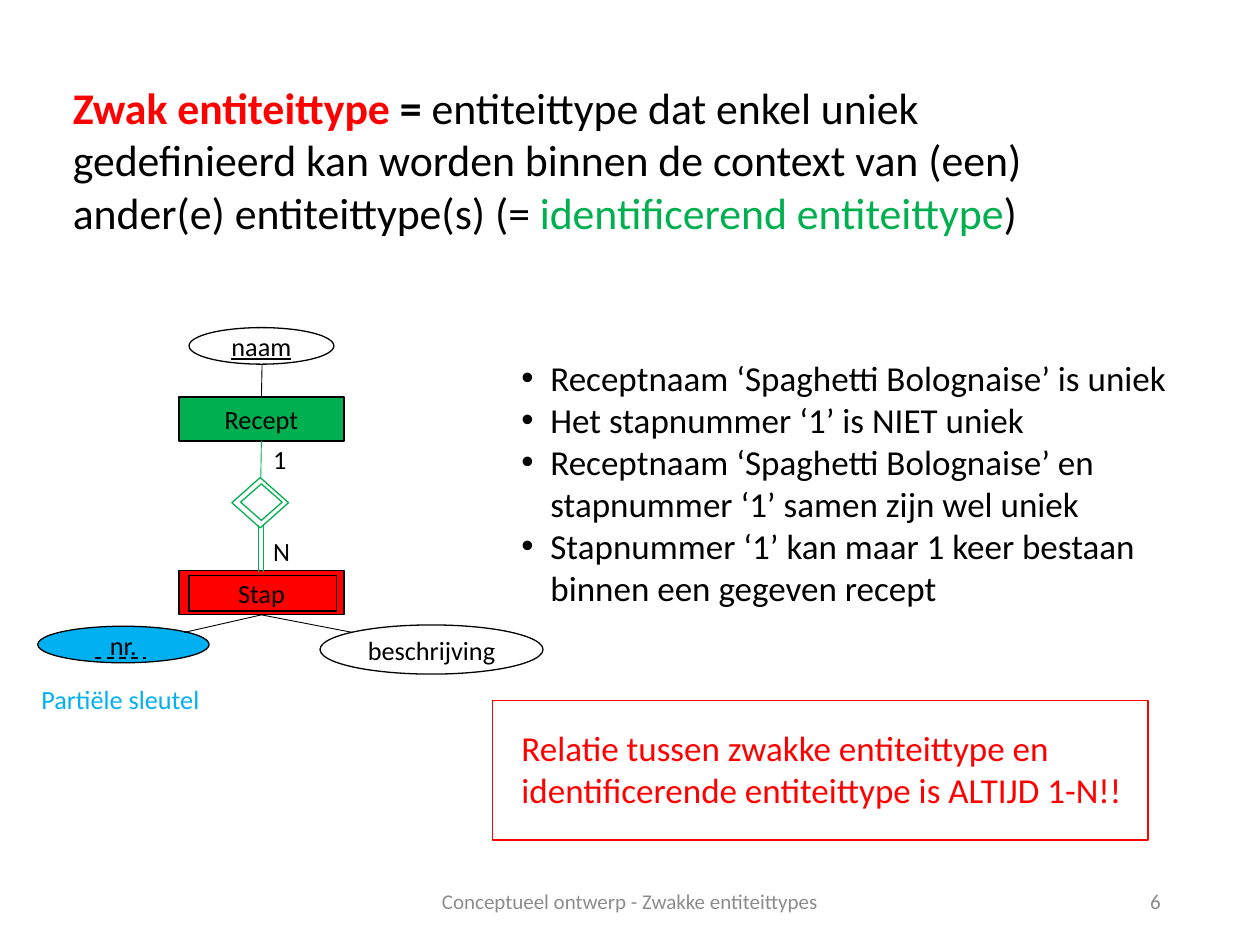
from lxml import etree
from pptx import Presentation
from pptx.dml.color import RGBColor
from pptx.enum.dml import MSO_LINE
from pptx.enum.shapes import MSO_CONNECTOR, MSO_SHAPE
from pptx.enum.text import MSO_ANCHOR, PP_ALIGN
from pptx.oxml.ns import qn
from pptx.util import Emu, Pt

RECT, OVAL, DIAMOND = MSO_SHAPE.RECTANGLE, MSO_SHAPE.OVAL, MSO_SHAPE.DIAMOND
LEFT, CENTER, RIGHT = PP_ALIGN.LEFT, PP_ALIGN.CENTER, PP_ALIGN.RIGHT
TOP, MIDDLE = MSO_ANCHOR.TOP, MSO_ANCHOR.MIDDLE
SIDE_TOP, SIDE_BOTTOM = 0, 2
PX = 9144  # EMU per px, 100 px to the inch
FONT = "Calibri"
COLORS = {"black": "000000", "white": "FFFFFF", "red": "FF0000",
          "green": "00B050", "blue": "00B0F0", "grey": "8C8C8C"}

# Content: a paragraph is a list of (text, color, bold) spans
DEFINITION = [[
    ("Zwak entiteittype ", "red", True),
    ("= ", "black", True),
    ("entiteittype dat enkel uniek gedefinieerd kan worden binnen de context "
     "van (een) ander(e) entiteittype(s) (= ", "black", False),
    ("identificerend entiteittype", "green", False),
    (")", "black", False),
]]
REMARKS = [
    "Receptnaam ‘Spaghetti Bolognaise’ is uniek",
    "Het stapnummer ‘1’ is NIET uniek",
    "Receptnaam ‘Spaghetti Bolognaise’ en stapnummer ‘1’ samen zijn wel uniek",
    "Stapnummer ‘1’ kan maar 1 keer bestaan binnen een gegeven recept",
]
RULE = ("Relatie tussen zwakke entiteittype en identificerende entiteittype "
        "is ALTIJD 1-N!!")

# Diagram nodes: name, kind, (left, top, width, height), fill, line, text
NODES = [
    ("recept", RECT, (142, 315, 131, 35), "green", "black", "Recept"),
    ("stap", RECT, (142, 453, 131, 35), "red", "black", "Stap"),
    ("stap inner", RECT, (150, 457, 117, 28), None, "black", ""),
    ("relation", DIAMOND, (184, 379, 45, 40), "white", "green", ""),
    ("relation inner", DIAMOND, (191, 384, 33, 29), "white", "green", ""),
    ("naam", OVAL, (150, 260, 115, 29), "white", "black", "naam"),
    ("nr", OVAL, (30, 497, 136, 29), "blue", "black", "nr."),
    ("beschrijving", OVAL, (254, 496, 177, 39), "white", "black", "beschrijving"),
    ("rule frame", RECT, (391, 556, 520, 111), None, "red", ""),
]
KEY = "naam"
THICK = "rule frame"

# Lines: start, end, color, width, node and side joined at the start
LINKS = [
    ((208, 315), (208, 289), "black", 0.5, ("recept", SIDE_TOP)),
    ((208, 350), (207, 379), "green", 0.5, ("recept", SIDE_BOTTOM)),
    ((205, 454), (205, 417), "green", 0.5, None),
    ((209, 454), (209, 416), "green", 0.5, None),
    ((208, 488), (146, 502), "black", 0.5, ("stap", SIDE_BOTTOM)),
    ((208, 488), (280, 502), "black", 0.5, ("stap", SIDE_BOTTOM)),
]
PARTIAL_KEY = ((75, 522), (116, 522))

# Text boxes: paragraphs, (left, top, width, height), format
TEXTS = [
    (DEFINITION, (48, 59, 862, 136), {"size": 25}),
    (REMARKS, (404, 278, 557, 212), {"size": 20, "bullet": True}),
    (["N"], (207, 420, 34, 35), {"wrap": False}),
    (["1"], (207, 347, 31, 35), {"wrap": False}),
    (["Partiële sleutel"], (23, 537, 147, 35), {"color": "blue", "wrap": False}),
    (["Conceptueel ontwerp - Zwakke entiteittypes"], (331, 695, 338, 40),
     {"size": 12, "color": "grey", "align": CENTER, "anchor": MIDDLE}),
    (["6"], (706, 695, 225, 40),
     {"size": 12, "color": "grey", "align": RIGHT, "anchor": MIDDLE}),
    ([RULE], (404, 572, 557, 77), {"size": 20, "color": "red"}),
]


def rgb(name):
    return RGBColor.from_string(COLORS[name])


def scaled(lengths):
    return [Emu(length * PX) for length in lengths]


def write(shape, paragraphs, size=15, color="black", align=LEFT, anchor=TOP,
          wrap=True, underline=False, bullet=False):
    frame = shape.text_frame
    frame.word_wrap = wrap
    frame.vertical_anchor = anchor
    for index, content in enumerate(paragraphs):
        para = frame.add_paragraph() if index else frame.paragraphs[0]
        para.alignment = align
        if bullet:
            indent = 23 * PX
            props = para._p.get_or_add_pPr()
            props.set("marL", str(indent))
            props.set("indent", str(-indent))
            etree.SubElement(props, qn("a:buFont")).set("typeface", "Arial")
            etree.SubElement(props, qn("a:buChar")).set("char", "•")
        spans = [(content, color, False)] if isinstance(content, str) else content
        for text, span_color, bold in spans:
            span = para.add_run()
            span.text = text
            span.font.name = FONT
            span.font.size = Pt(size)
            span.font.bold = bold
            span.font.underline = underline
            span.font.color.rgb = rgb(span_color)


def add_node(page, kind, area, fill, line, width):
    shape = page.shapes.add_shape(kind, *scaled(area))
    shape.shadow.inherit = False
    if fill:
        shape.fill.solid()
        shape.fill.fore_color.rgb = rgb(fill)
    else:
        shape.fill.background()
    shape.line.color.rgb = rgb(line)
    shape.line.width = Pt(width)
    return shape


def add_line(page, start, end, color, width):
    line = page.shapes.add_connector(MSO_CONNECTOR.STRAIGHT, *scaled(start + end))
    etree.SubElement(line._element.spPr, qn("a:effectLst"))
    line.line.color.rgb = rgb(color)
    line.line.width = Pt(width)
    return line


def main():
    deck = Presentation()
    deck.slide_width, deck.slide_height = scaled((1000, 750))
    page = deck.slides.add_slide(deck.slide_layouts[6])

    # Entities, attributes and relation
    nodes = {}
    for name, kind, area, fill, line, text in NODES:
        node = add_node(page, kind, area, fill, line, 1 if name == THICK else 0.75)
        if text:
            write(node, [text], align=CENTER, anchor=MIDDLE, wrap=kind == RECT,
                  underline=name == KEY)
        nodes[name] = node

    # Links, and the dashed underline of the partial key
    for start, end, color, width, joint in LINKS:
        link = add_line(page, start, end, color, width)
        if joint:
            name, side = joint
            link.begin_connect(nodes[name], side)
    dashes = add_line(page, *PARTIAL_KEY, "black", 1)
    dashes.line.dash_style = MSO_LINE.DASH

    # Text
    for paragraphs, area, style in TEXTS:
        box = page.shapes.add_textbox(*scaled(area))
        write(box, paragraphs, **style)

    deck.save("out.pptx")


if __name__ == "__main__":
    main()
